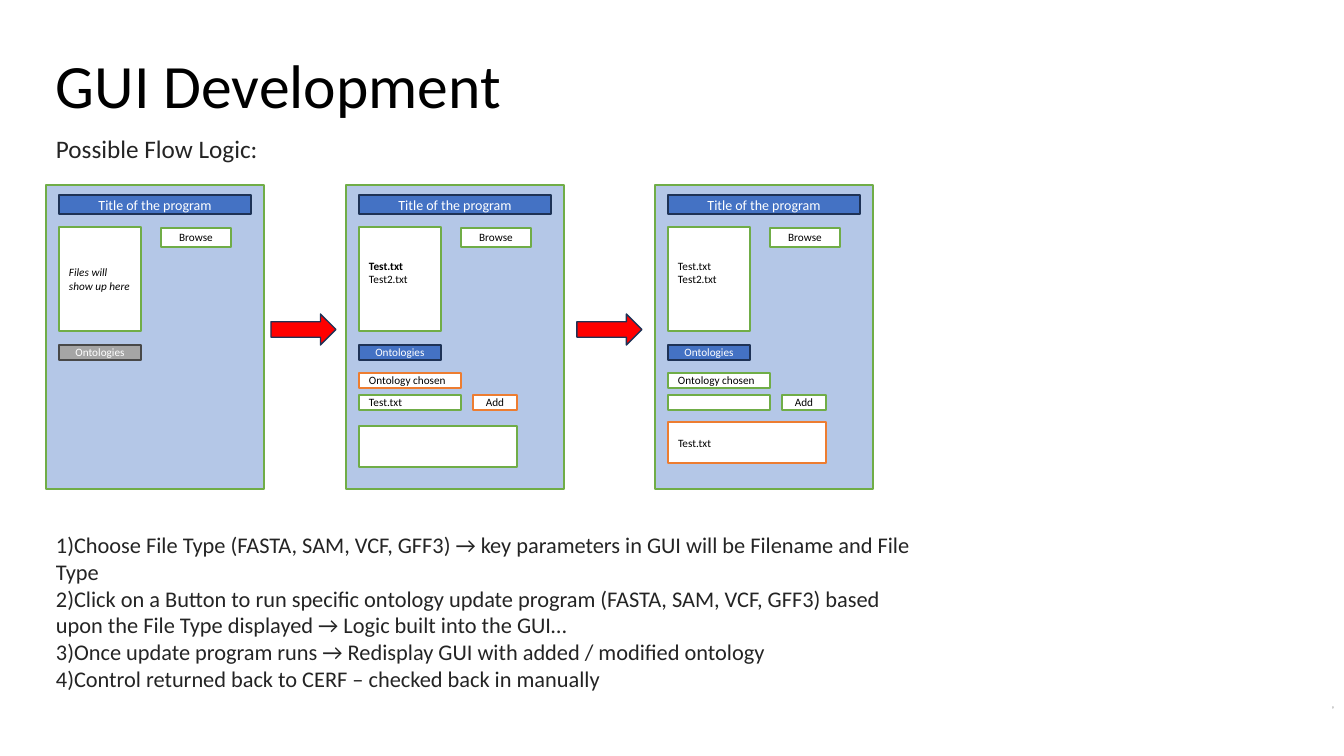
"""Build the GUI Development slide with its three-step window flow."""
from pptx import Presentation
from pptx import util as u
from pptx.dml.color import RGBColor
from pptx.enum import shapes, text

PX = 914400 / 100.8
BLACK = RGBColor(0x00, 0x00, 0x00)
WHITE = RGBColor(0xFF, 0xFF, 0xFF)
INK = RGBColor(0x24, 0x24, 0x24)
PALE = RGBColor(0x8C, 0x8C, 0x8C)
PANEL = RGBColor(0xB4, 0xC7, 0xE7)
BLUE = RGBColor(0x44, 0x72, 0xC4)
NAVY = RGBColor(0x1E, 0x32, 0x56)
GREEN = RGBColor(0x70, 0xAD, 0x47)
ORANGE = RGBColor(0xED, 0x7D, 0x31)
GREY = RGBColor(0xA5, 0xA5, 0xA5)
DARK = RGBColor(0x48, 0x48, 0x48)
RED = RGBColor(0xFF, 0x00, 0x00)
LEFT, CENTER, RIGHT = text.PP_ALIGN.LEFT, text.PP_ALIGN.CENTER, text.PP_ALIGN.RIGHT
TOP, MIDDLE = text.MSO_ANCHOR.TOP, text.MSO_ANCHOR.MIDDLE


class Deck:
    """Hold the style and the current slide."""

    font = "Calibri"

    def __init__(self, width, height):
        self.prs = Presentation()
        self.prs.slide_width, self.prs.slide_height = self.emu(width, height)
        self.s = self.prs.slides.add_slide(self.prs.slide_layouts[6])

    def emu(self, *pixels):
        return [u.Emu(round(n * PX)) for n in pixels]

    def set_text(self, sp, lines, size, color, align=LEFT, anchor=MIDDLE,
                 italic=False, bold_line=None, spacing=1.0, bottom=5):
        tf = sp.text_frame
        tf.word_wrap = True
        tf.vertical_anchor = anchor
        tf.margin_left, tf.margin_right, tf.margin_top, tf.margin_bottom = self.emu(10, 10, 5, bottom)
        for i, line in enumerate(lines):
            p = tf.paragraphs[0] if i == 0 else tf.add_paragraph()
            p.add_run().text = line
            p.alignment = align
            p.line_spacing = spacing
            p.font.name = self.font
            p.font.size = u.Pt(size)
            p.font.color.rgb = color
            p.font.italic = italic
            p.font.bold = i == bold_line

    def label(self, box, lines, size, color, **style):
        sp = self.s.shapes.add_textbox(*self.emu(*box))
        self.set_text(sp, lines, size, color, **style)

    def shape(self, box, fill, line, kind=shapes.MSO_SHAPE.RECTANGLE):
        sp = self.s.shapes.add_shape(kind, *self.emu(*box))
        sp.shadow.inherit = False
        sp.fill.solid()
        sp.fill.fore_color.rgb = fill
        sp.line.color.rgb = line
        sp.line.width = u.Pt(1)
        return sp

    def box(self, box, lines=(), fill=WHITE, line=GREEN, size=8, color=BLACK, **style):
        sp = self.shape(box, fill, line)
        self.set_text(sp, lines, size, color, **style)

    def arrow(self, x):
        self.shape((x, 314, 65, 31), RED, NAVY, shapes.MSO_SHAPE.RIGHT_ARROW)

    def window(self, x, files, button=(BLUE, NAVY), **style):
        self.shape((x, 185, 218, 304), PANEL, GREEN)
        x += 13
        self.box((x, 195, 192, 19), ["Title of the program"], BLUE, NAVY, 10, WHITE, align=CENTER)
        self.box((x, 227, 82, 104), files, **style)
        self.box((x + 102, 228, 70, 19), ["Browse"], align=CENTER)
        self.box((x, 345, 82, 15), ["Ontologies"], *button, color=WHITE, align=CENTER)

    def ontology_form(self, x, entry, added, entry_line, added_line, added_top):
        x += 13
        self.box((x, 373, 102, 15), ["Ontology chosen"], line=entry_line)
        self.box((x, 395, 102, 15), entry)
        self.box((x + 114, 395, 44, 15), ["Add"], line=entry_line, align=CENTER)
        self.box((x, added_top, 158, 41), added, line=added_line)


deck = Deck(1344, 756)
deck.label((46, 48, 1184, 81), ["GUI Development"], 44, BLACK, anchor=MIDDLE, spacing=0.9)
deck.label((46, 128, 394, 40), ["Possible Flow Logic:"], 18, INK, anchor=TOP)
deck.label((1260, 700, 84, 15), ["9"], 3, PALE, align=RIGHT)

files = ["Test.txt", "Test2.txt"]
deck.window(46, ["Files will show up here"], (GREY, DARK), italic=True)
deck.window(346, files, bold_line=0, bottom=18)
deck.window(655, files, bottom=18)
deck.ontology_form(346, ["Test.txt"], [], ORANGE, GREEN, 426)
deck.ontology_form(655, [], ["Test.txt"], GREEN, ORANGE, 422)
for x in (271, 577):
    deck.arrow(x)

steps = [
    "1)Choose File Type (FASTA, SAM, VCF, GFF3) → key parameters in GUI will be Filename and File Type",
    "2)Click on a Button to run specific ontology update program (FASTA, SAM, VCF, GFF3) "
    "based upon the File Type displayed → Logic built into the GUI…",
    "3)Once update program runs → Redisplay GUI with added / modified ontology",
    "4)Control returned back to CERF – checked back in manually",
]
deck.label((46, 526, 890, 173), steps, 16, INK, anchor=TOP)
deck.prs.save("out.pptx")
